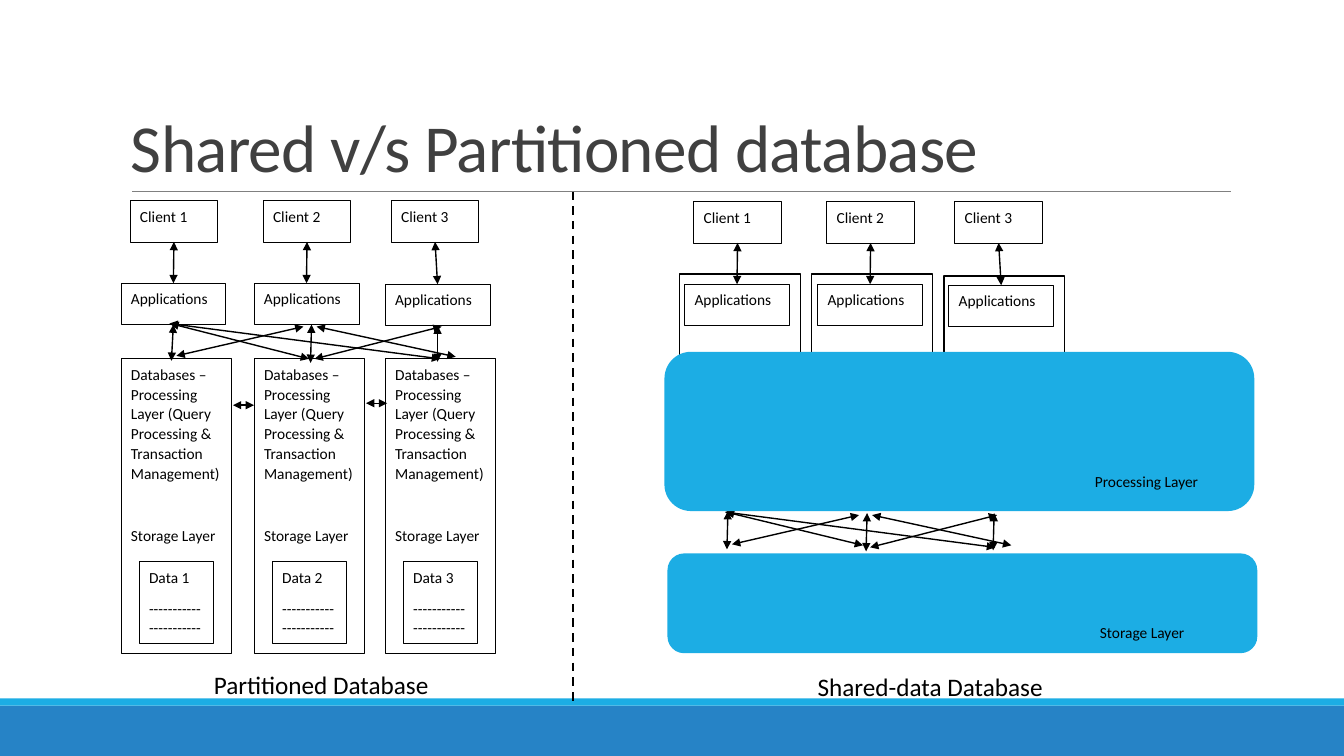
"""Build a slide that contrasts partitioned and shared-data databases."""
from dataclasses import dataclass

from pptx import Presentation
from pptx.dml import color as dml_color
from pptx.enum import dml, shapes, text
from pptx.oxml import ns, xmlchemy
from pptx.util import Inches, Pt

COLORS = {
    "black": "000000",
    "white": "FFFFFF",
    "title": "404040",
    "rule": "808080",
    "cyan": "1CADE4",
    "blue": "2683C6",
}
FONT = "Calibri"
JOIN_TOLERANCE = Inches(0.025)
SHARED_SHIFT = 5.59
MESH_SHIFT = (5.51, 1.87)
DATABASE_TEXT = (
    "Databases – Processing Layer (Query Processing & Transaction Management)\n"
    "Storage Layer"
)


@dataclass(frozen=True)
class Box:
    left: float
    top: float
    width: float
    height: float


@dataclass(frozen=True)
class Column:
    number: int
    client_left: float
    application_left: float
    application_top: float


@dataclass(frozen=True)
class Line:
    start_x: float
    start_y: float
    end_x: float
    end_y: float

    def moved(self, across: float, down: float) -> "Line":
        return Line(self.start_x + across, self.start_y + down,
                    self.end_x + across, self.end_y + down)


COLUMNS = (
    Column(1, 1.29, 1.2, 2.81),
    Column(2, 2.61, 2.52, 2.81),
    Column(3, 3.88, 3.82, 2.82),
)
MESH = (
    Line(1.69, 3.21, 3.05, 3.54),
    Line(1.68, 3.21, 4.36, 3.56),
    Line(1.71, 3.2, 1.7, 3.58),
    Line(3.09, 3.22, 3.08, 3.6),
    Line(4.35, 3.22, 4.34, 3.59),
    Line(3.14, 3.24, 4.52, 3.54),
    Line(1.75, 3.53, 3.01, 3.24),
    Line(4.38, 3.24, 3.12, 3.56),
)
DATABASE_LINKS = (Line(2.31, 4.02, 2.52, 4.02), Line(3.63, 4, 3.84, 4))


def rgb(name: str) -> dml_color.RGBColor:
    return dml_color.RGBColor.from_string(COLORS[name])


def write_text(shape, content: str, *, size: float = 11, color: str = "black",
               align=text.PP_ALIGN.LEFT, anchor=text.MSO_ANCHOR.TOP,
               line_spacing: float = 1.07, space_after: float = 8,
               indent: float = 0, tracking: int = 0, wrap: bool = True) -> None:
    frame = shape.text_frame
    frame.word_wrap = wrap
    frame.auto_size = (text.MSO_AUTO_SIZE.NONE if wrap
                       else text.MSO_AUTO_SIZE.SHAPE_TO_FIT_TEXT)
    frame.vertical_anchor = anchor
    frame.text = content
    for paragraph in frame.paragraphs:
        paragraph.alignment = align
        paragraph.line_spacing = line_spacing
        paragraph.space_after = Pt(space_after)
        paragraph.font.size = Pt(size)
        if indent:
            paragraph._p.get_or_add_pPr().set("marL", str(Inches(indent)))
        for run in paragraph.runs:
            run.font.name = FONT
            run.font.size = Pt(size)
            run.font.color.rgb = rgb(color)
            if tracking:
                run._r.get_or_add_rPr().set("spc", str(tracking))


def add_box(slide, box: Box, content: str = "", *, fill: str = "white",
            line_width: float = 0.5, kind=shapes.MSO_SHAPE.RECTANGLE, **format_options):
    shape = slide.shapes.add_shape(kind, Inches(box.left), Inches(box.top),
                                   Inches(box.width), Inches(box.height))
    shape.shadow.inherit = False
    shape.fill.solid()
    shape.fill.fore_color.rgb = rgb(fill)
    if line_width:
        shape.line.color.rgb = rgb("black")
        shape.line.width = Pt(line_width)
    else:
        shape.line.fill.background()
    if content:
        write_text(shape, content, **format_options)
    return shape


def add_label(slide, box: Box, content: str, **format_options) -> None:
    label = slide.shapes.add_textbox(Inches(box.left), Inches(box.top),
                                     Inches(box.width), Inches(box.height))
    write_text(label, content, **format_options)


def add_line(slide, line: Line, *, color: str = "black", width: float = 1,
             dashed: bool = False):
    connector = slide.shapes.add_connector(
        shapes.MSO_CONNECTOR.STRAIGHT, Inches(line.start_x), Inches(line.start_y),
        Inches(line.end_x), Inches(line.end_y))
    connector.line.color.rgb = rgb(color)
    connector.line.width = Pt(width)
    if dashed:
        connector.line.dash_style = dml.MSO_LINE.DASH
    properties = connector._element.spPr
    properties.append(xmlchemy.OxmlElement("a:effectLst"))
    return connector


def add_arrow(slide, line: Line, boxes: list) -> None:
    connector = add_line(slide, line)
    outline = connector._element.spPr.find(ns.qn("a:ln"))
    for tag in ("a:headEnd", "a:tailEnd"):
        arrowhead = xmlchemy.OxmlElement(tag)
        arrowhead.set("type", "triangle")
        outline.append(arrowhead)
    ends = ((connector.begin_x, connector.begin_y, connector.begin_connect),
            (connector.end_x, connector.end_y, connector.end_connect))
    for x, y, connect in ends:
        for box in boxes:
            for site, edge in ((0, box.top), (2, box.top + box.height)):
                middle = box.left + box.width // 2
                if max(abs(x - middle), abs(y - edge)) <= JOIN_TOLERANCE:
                    connect(box, site)


def add_clients(slide, across: float, down: float) -> list:
    applications = []
    for column in COLUMNS:
        client = add_box(slide, Box(column.client_left + across, 1.99 + down, 0.87, 0.41),
                         f"Client {column.number}")
        application = add_box(slide, Box(column.application_left + across,
                                         column.application_top + down, 1.04, 0.41),
                              "Applications")
        start_x = column.client_left + across + 0.435
        end_x = column.application_left + across + 0.52
        add_arrow(slide, Line(start_x, 2.4 + down, end_x, column.application_top + down),
                  [client, application])
        applications.append(application)
    return applications


def draw_frame(slide) -> None:
    add_box(slide, Box(0, 7, 13.33, 0.5), fill="blue", line_width=0)
    add_box(slide, Box(0, 6.93, 13.33, 0.07), fill="cyan", line_width=0)
    add_line(slide, Line(1.31, 1.9, 12.21, 1.9), color="rule", width=0.5)
    add_label(slide, Box(1.2, 0.31, 11, 1.59), "Shared v/s Partitioned database",
              size=48, color="title", anchor=text.MSO_ANCHOR.BOTTOM,
              line_spacing=0.85, space_after=0, tracking=-50)


def draw_partitioned(slide) -> None:
    boxes = add_clients(slide, 0, 0)
    for column in COLUMNS:
        left = column.application_left
        boxes.append(add_box(slide, Box(left, 3.56, 1.09, 2.92), DATABASE_TEXT,
                             space_after=30.4))
        add_box(slide, Box(left + 0.18, 5.57, 0.74, 0.81),
                f"Data {column.number}\n" + "-" * 22)
    for line in MESH + DATABASE_LINKS:
        add_arrow(slide, line, boxes)


def draw_shared(slide) -> None:
    for left, top in ((9.36, 2.74), (8.05, 2.72), (6.74, 2.72)):
        add_box(slide, Box(left, top, 1.2, 2.29), line_width=1.25)
    add_clients(slide, SHARED_SHIFT, 0.01)
    for line in MESH:
        add_arrow(slide, line.moved(*MESH_SHIFT), [])
    for layer, label, content in (
        (Box(6.59, 3.49, 5.85, 1.58), Box(10.76, 4.62, 1.38, 0.33), "Processing Layer"),
        (Box(6.62, 5.49, 5.85, 0.99), Box(10.81, 6.12, 1.38, 0.27), "Storage Layer"),
    ):
        add_box(slide, layer, fill="cyan", line_width=0,
                kind=shapes.MSO_SHAPE.ROUNDED_RECTANGLE)
        add_label(slide, label, content)


def main() -> None:
    presentation = Presentation()
    presentation.slide_width = Inches(13.33)
    presentation.slide_height = Inches(7.5)
    slide = presentation.slides.add_slide(presentation.slide_layouts[6])
    draw_frame(slide)
    draw_partitioned(slide)
    draw_shared(slide)
    add_line(slide, Line(5.68, 1.9, 5.68, 6.95), width=1.5, dashed=True)
    for box, caption in ((Box(1.25, 6.57, 3.12, 0.43), "Partitioned Database"),
                         (Box(7.24, 6.59, 3.22, 0.43), "Shared-data Database")):
        add_label(slide, box, caption, size=18, align=text.PP_ALIGN.CENTER,
                  indent=0.75, wrap=False)
    presentation.save("out.pptx")


if __name__ == "__main__":
    main()
